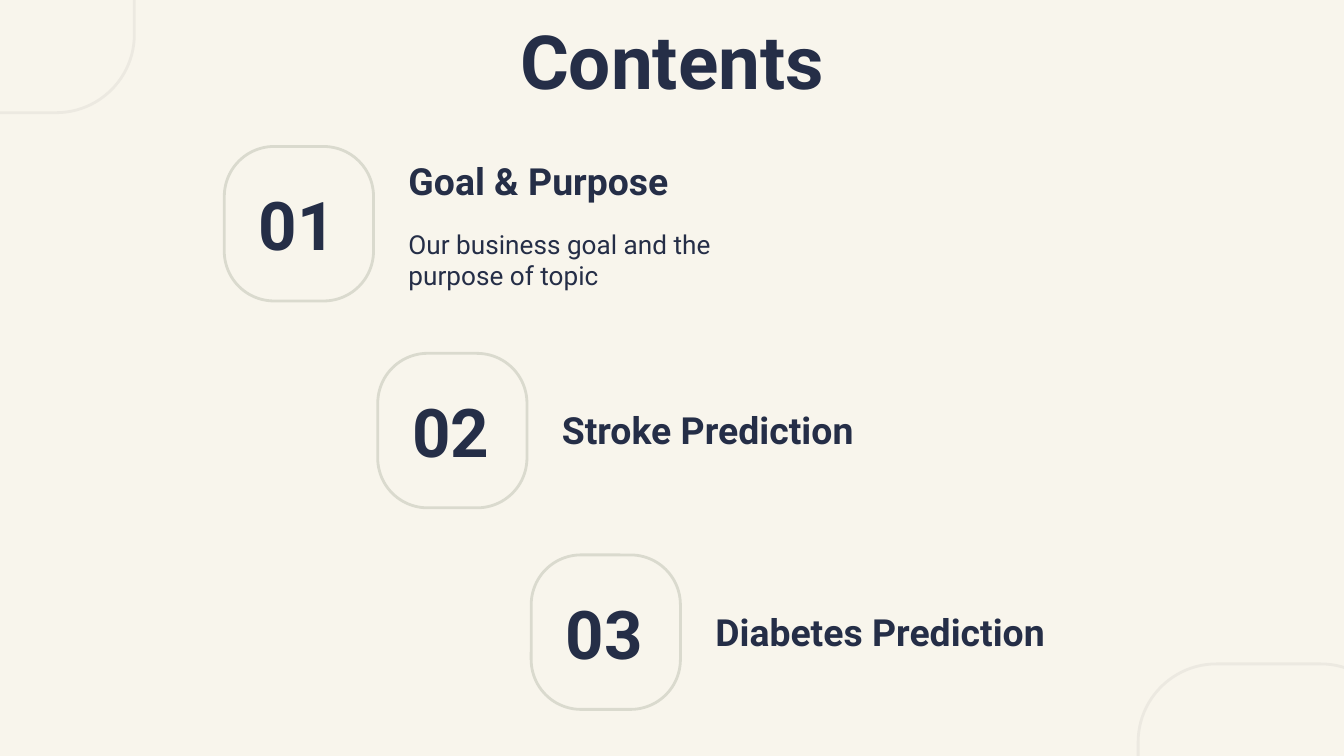
from dataclasses import dataclass

import pptx
import pptx.dml.color
import pptx.enum.shapes
import pptx.enum.text
import pptx.oxml
import pptx.util

Cm = pptx.util.Cm
Align = pptx.enum.text.PP_ALIGN


@dataclass(frozen=True)
class Theme:
    font: str = "Roboto"
    background: str = "F8F5EC"
    ink: str = "252E47"
    card_line: str = "DADACE"
    corner_line: str = "ECE9E1"
    title_size: int = 40
    number_size: int = 36
    heading_size: int = 20
    body_size: int = 14
    line_width: float = 1.5


class PageBuilder:
    def __init__(self, page, theme):
        self.page = page
        self.theme = theme
        fill = page.background.fill
        fill.solid()
        fill.fore_color.rgb = self.color(theme.background)

    def color(self, value):
        return pptx.dml.color.RGBColor.from_string(value)

    def place(self, box, left, top, width, height):
        box.left, box.top = Cm(left), Cm(top)
        box.width, box.height = Cm(width), Cm(height)

    def outline(self, left, top, width, height, color, rounding):
        shape = self.page.shapes.add_shape(
            pptx.enum.shapes.MSO_SHAPE.ROUNDED_RECTANGLE,
            Cm(left), Cm(top), Cm(width), Cm(height))
        shape.adjustments[0] = rounding
        shape.shadow.inherit = False
        shape.fill.background()
        shape.line.color.rgb = self.color(color)
        shape.line.width = pptx.util.Pt(self.theme.line_width)

    def add_text(self, box, text, size, bold=True, align=Align.LEFT):
        frame = box.text_frame
        frame.word_wrap = True
        frame.auto_size = pptx.enum.text.MSO_AUTO_SIZE.NONE
        frame.vertical_anchor = pptx.enum.text.MSO_ANCHOR.MIDDLE
        frame.margin_left = frame.margin_right = Cm(0.25)
        frame.margin_top = frame.margin_bottom = Cm(0.25)
        para = frame.paragraphs[0]
        para.alignment = align
        para.space_before = pptx.util.Pt(0)
        span = para.add_run()
        span.text = text
        span.font.name = self.theme.font
        span.font.size = pptx.util.Pt(size)
        span.font.bold = bold
        span.font.color.rgb = self.color(self.theme.ink)

    def title(self, text, left, top, width, height):
        box = self.page.shapes.title
        self.place(box, left, top, width, height)
        self.add_text(box, text, self.theme.title_size, align=Align.CENTER)

    def body(self, text, left, top, width, height):
        box = self.page.placeholders[1]
        self.place(box, left, top, width, height)
        properties = box.text_frame.paragraphs[0]._p.get_or_add_pPr()
        properties.set("marL", "0")
        properties.set("indent", "0")
        properties.append(pptx.oxml.parse_xml(
            '<a:buNone xmlns:a="http://schemas.openxmlformats.org/drawingml/2006/main"/>'))
        self.add_text(box, text, self.theme.body_size, bold=False)

    def label(self, text, left, top, width, height, size, align=Align.LEFT):
        box = self.page.shapes.add_textbox(Cm(left), Cm(top), Cm(width), Cm(height))
        self.add_text(box, text, size, align=align)

    def corner(self, left, top):
        self.outline(left, top, 4.93, 5.89, self.theme.corner_line, 0.3)

    def entry(self, number, heading, left, top, heading_top, heading_width):
        self.outline(left, top, 2.82, 2.92, self.theme.card_line, 0.334)
        self.label(number, left - 0.08, top, 2.92, 2.92,
                   self.theme.number_size, Align.CENTER)
        self.label(heading, left + 3.23, heading_top, heading_width, 1.47,
                   self.theme.heading_size)


def main():
    deck = pptx.Presentation()
    deck.slide_width, deck.slide_height = Cm(25.4), Cm(14.29)
    builder = PageBuilder(deck.slides.add_slide(deck.slide_layouts[1]), Theme())

    builder.corner(-2.39, -3.76)
    builder.corner(21.51, 12.55)
    builder.title("Contents", 2, 0.33, 21.4, 1.6)

    entries = [
        ("Goal & Purpose", 2.77, 2.67, 6.4),
        ("Stroke Prediction", 6.68, 7.39, 7.16),
        ("Diabetes Prediction", 10.49, 11.2, 8.79),
    ]
    for index, (heading, top, heading_top, width) in enumerate(entries):
        builder.entry(f"{index + 1:02}", heading, 4.24 + 2.9 * index, top,
                      heading_top, width)
    builder.body("Our business goal and the purpose of topic", 7.47, 4.17, 6.4, 1.47)

    deck.save("out.pptx")


if __name__ == "__main__":
    main()
